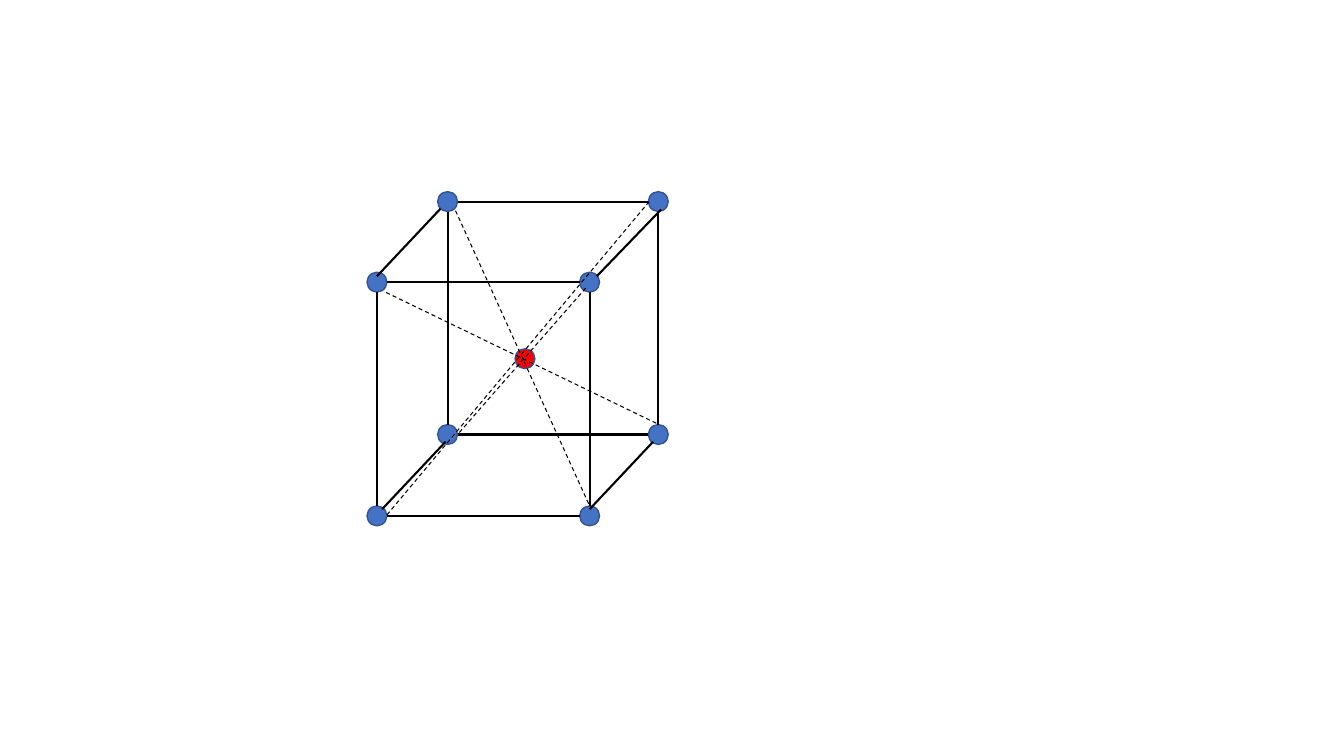
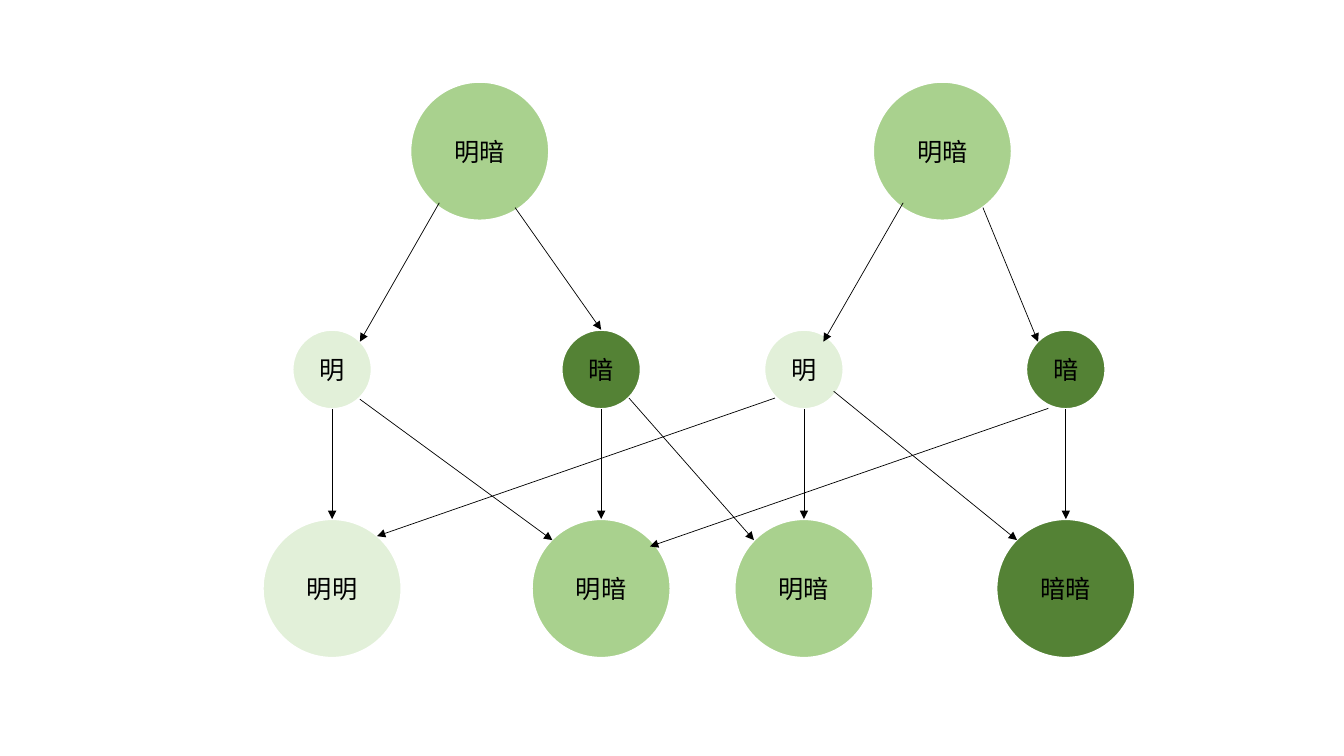
from lxml import etree
from pptx import Presentation, util as u
from pptx.dml.color import RGBColor
from pptx.enum import dml, shapes, text
from pptx.oxml.ns import qn

COLORS = {
    "atom": "4472C4", "atom_edge": "325491", "center": "FF0000",
    "light": "E2F0D9", "mid": "A9D18E", "dark": "548235",
    "white": "FFFFFF", "black": "000000",
}
FONT = "Noto Sans CJK SC"


def circle(s, x, y, d, fill, edge, width, label=""):
    """Draw a circle of diameter d centred on (x, y), in cm."""
    sp = s.shapes.add_shape(shapes.MSO_SHAPE.OVAL, u.Cm(x - d / 2), u.Cm(y - d / 2), u.Cm(d), u.Cm(d))
    sp.shadow.inherit = False
    sp.fill.solid()
    sp.fill.fore_color.rgb = RGBColor.from_string(COLORS[fill])
    sp.line.color.rgb = RGBColor.from_string(COLORS[edge])
    sp.line.width = u.Pt(width)
    if label:
        tf = sp.text_frame
        tf.vertical_anchor = text.MSO_ANCHOR.MIDDLE
        p = tf.paragraphs[0]
        p.alignment = text.PP_ALIGN.CENTER
        r = p.add_run()
        r.text = label
        for name, value in {"name": FONT, "size": u.Pt(18)}.items():
            setattr(r.font, name, value)
        r.font.color.rgb = RGBColor.from_string(COLORS["black"])
        etree.SubElement(r.font._element, qn("a:ea"), typeface=FONT)


def line(s, ends, width, dashed=False, arrow=False):
    """Draw a black line along ends = (x1, y1, x2, y2), in cm."""
    c = s.shapes.add_connector(shapes.MSO_CONNECTOR.STRAIGHT, *map(u.Cm, ends))
    c.line.color.rgb = RGBColor.from_string(COLORS["black"])
    c.line.width = u.Pt(width)
    if dashed:
        c.line.dash_style = dml.MSO_LINE.DASH
    if arrow:
        etree.SubElement(c.line._get_or_add_ln(), qn("a:tailEnd"), type="triangle")
    etree.SubElement(c._element.spPr, qn("a:effectLst"))


prs = Presentation()
prs.slide_width, prs.slide_height = u.Cm(33.87), u.Cm(19.05)
blank = prs.slide_layouts[6]

# Slide 1: body-centred cubic cell
s = prs.slides.add_slide(blank)
ATOM = 0.5
GAP = ATOM / 2
faces = [  # left, right, top, bottom
    (9.5, 14.86, 7.11, 13),
    (11.28, 16.59, 5.08, 10.95),
]
for left, right, top, bottom in faces:
    for x in (left, right):
        for y in (top, bottom):
            circle(s, x, y, ATOM, "atom", "atom_edge", 1)
for left, right, top, bottom in faces:
    for x in (left, right):
        line(s, (x, top + GAP, x, bottom - GAP), 1.5)
    for y in (top, bottom):
        line(s, (left + GAP, y, right - GAP, y), 1.5)

depth_edges = [
    (9.5, 6.96, 11.1, 5.26),
    (15.04, 6.96, 16.66, 5.28),
    (14.86, 12.83, 16.46, 11.13),
    (9.63, 12.83, 11.23, 11.13),
]
for ends in depth_edges:
    line(s, ends, 1.5)

circle(s, 13.23, 9.04, ATOM, "center", "atom_edge", 1)
diagonals = [
    (9.73, 7.37, 16.59, 10.69),
    (11.48, 5.31, 14.86, 12.75),
    (16.36, 5.08, 9.73, 13),
    (14.76, 7.26, 11.53, 10.95),
]
for ends in diagonals:
    line(s, ends, 0.75, dashed=True)

# Slide 2: inheritance of light and dark
s = prs.slides.add_slide(blank)
BIG, SMALL = 3.5, 2
PARENT_Y, GAMETE_Y, CHILD_Y = 3.81, 9.31, 14.83
columns = [  # centre, gamete, gamete fill, child, child fill
    (8.37, "明", "light", "明明", "light"),
    (15.15, "暗", "dark", "明暗", "mid"),
    (20.26, "明", "light", "明暗", "mid"),
    (26.86, "暗", "dark", "暗暗", "dark"),
]
for x in (12.09, 23.75):
    circle(s, x, PARENT_Y, BIG, "mid", "white", 1.5, "明暗")
for x, gamete, gamete_fill, child, child_fill in columns:
    circle(s, x, GAMETE_Y, SMALL, gamete_fill, "white", 1.5, gamete)
    circle(s, x, CHILD_Y, BIG, child_fill, "white", 1.5, child)

arrows = [(x, GAMETE_Y + SMALL / 2, x, CHILD_Y - BIG / 2) for x, *_ in columns]
arrows += [
    # parent to gamete
    (11.07, 5.11, 9.07, 8.61),
    (12.98, 5.23, 15.15, 8.31),
    (22.76, 5.11, 20.75, 8.61),
    (24.77, 5.23, 26.16, 8.61),
    # gamete to the other pair's child
    (9.07, 10.06, 13.92, 13.61),
    (15.85, 10.03, 19, 13.61),
    (19.53, 10.03, 9.5, 13.51),
    (21.01, 9.86, 25.63, 13.61),
    (26.42, 10.29, 16.38, 13.77),
]
for ends in arrows:
    line(s, ends, 0.5, arrow=True)

prs.save("out.pptx")
